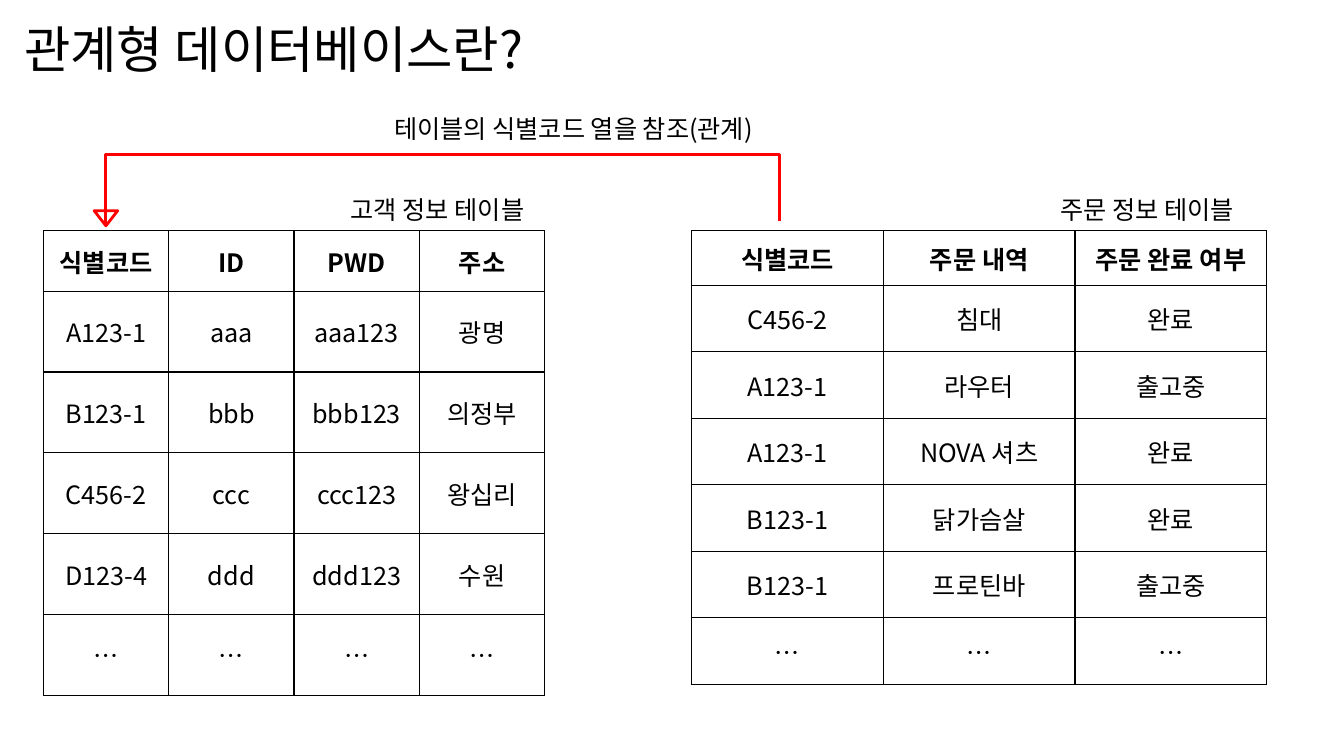
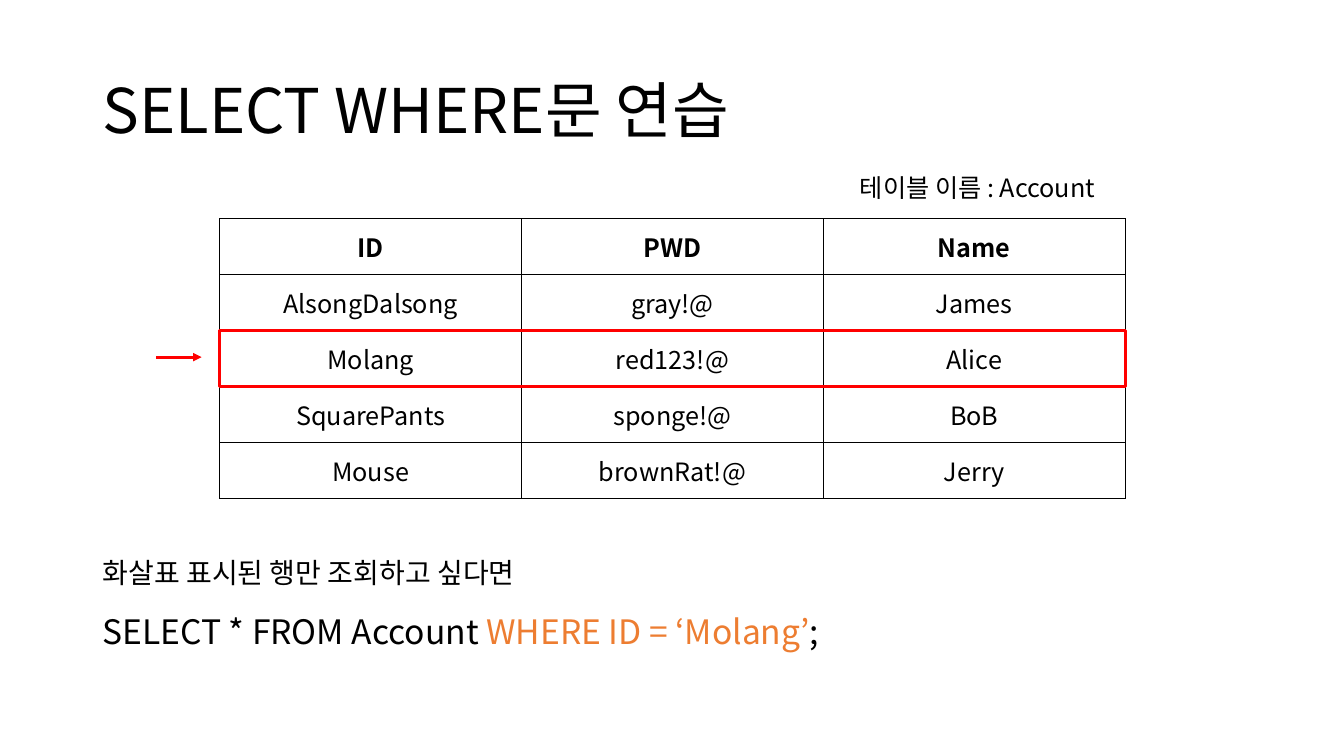
from pptx import Presentation
from pptx.dml.color import RGBColor
from pptx.enum.shapes import MSO_CONNECTOR, MSO_SHAPE
from pptx.enum.text import MSO_ANCHOR, MSO_AUTO_SIZE, PP_ALIGN
from pptx.oxml import parse_xml
from pptx.oxml.ns import nsdecls, qn
from pptx.util import Inches, Pt
from lxml import etree

BLACK = RGBColor(0x00, 0x00, 0x00)
WHITE = RGBColor(0xFF, 0xFF, 0xFF)
RED = RGBColor(0xFF, 0x00, 0x00)
ORANGE = RGBColor(0xED, 0x7D, 0x31)
FONT = "Noto Sans CJK KR"
W, H = Inches(13.33), Inches(7.5)
LINE = Pt(2)
TITLE_ONLY = 5
LEFT, CENTER = PP_ALIGN.LEFT, PP_ALIGN.CENTER
MIDDLE = MSO_ANCHOR.MIDDLE
RECT, MERGE = MSO_SHAPE.RECTANGLE, MSO_SHAPE.FLOWCHART_MERGE
STRAIGHT = MSO_CONNECTOR.STRAIGHT
FIXED = MSO_AUTO_SIZE.NONE

CUSTOMERS = [
    ["식별코드", "ID", "PWD", "주소"],
    ["A123-1", "aaa", "aaa123", "광명"],
    ["B123-1", "bbb", "bbb123", "의정부"],
    ["C456-2", "ccc", "ccc123", "왕십리"],
    ["D123-4", "ddd", "ddd123", "수원"],
    ["…"] * 4,
]
ORDERS = [
    ["식별코드", "주문 내역", "주문 완료 여부"],
    ["C456-2", "침대", "완료"],
    ["A123-1", "라우터", "출고중"],
    ["A123-1", "NOVA 셔츠", "완료"],
    ["B123-1", "닭가슴살", "완료"],
    ["B123-1", "프로틴바", "출고중"],
    ["…"] * 3,
]
ACCOUNTS = [
    ["ID", "PWD", "Name"],
    ["AlsongDalsong", "gray!@", "James"],
    ["Molang", "red123!@", "Alice"],
    ["SquarePants", "sponge!@", "BoB"],
    ["Mouse", "brownRat!@", "Jerry"],
]


def box(left, top, width, height):
    """Turn percentages of the slide's size into lengths."""
    return (int(W * left / 100), int(H * top / 100),
            int(W * width / 100), int(H * height / 100))


def style_run(r, size, color=BLACK, bold=False):
    f = r.font
    f.size, f.bold, f.name = Pt(size), bold, FONT
    f.color.rgb = color
    # East Asian letters take their own typeface
    etree.SubElement(r._r.get_or_add_rPr(), qn("a:ea")).set("typeface", FONT)


def add_title(s, text, area, size):
    sp = s.shapes.title
    sp.left, sp.top, sp.width, sp.height = area
    tf = sp.text_frame
    tf.text = text
    tf.auto_size, tf.vertical_anchor = FIXED, MIDDLE
    p = tf.paragraphs[0]
    p.alignment, p.line_spacing = LEFT, 0.9
    style_run(p.runs[0], size)


def add_label(s, area, parts, size=18):
    """Place one line of text made of (text, colour) parts."""
    tf = s.shapes.add_textbox(*area).text_frame
    tf.word_wrap = False
    for text, color in parts:
        r = tf.paragraphs[0].add_run()
        r.text = text
        style_run(r, size, color)


def add_borders(cell):
    tcPr = cell._tc.get_or_add_tcPr()
    for i, side in enumerate(("lnL", "lnR", "lnT", "lnB")):
        tcPr.insert(i, parse_xml(
            f'<a:{side} {nsdecls("a")} w="{Pt(1)}"><a:solidFill>'
            f'<a:srgbClr val="{BLACK}"/></a:solidFill></a:{side}>'))


def add_grid(s, area, rows, head):
    """Place a table whose header takes the share head of its height."""
    left, top, width, height = area
    table = s.shapes.add_table(len(rows), len(rows[0]), *area).table
    table.horz_banding = False
    for col in table.columns:
        col.width = width // len(rows[0])
    for i, row in enumerate(rows):
        share = (1 - head) / (len(rows) - 1) if i else head
        table.rows[i].height = int(height * share)
        for j, text in enumerate(row):
            cell = table.cell(i, j)
            cell.text = text
            cell.vertical_anchor = MIDDLE
            cell.fill.solid()
            cell.fill.fore_color.rgb = WHITE
            add_borders(cell)
            p = cell.text_frame.paragraphs[0]
            p.alignment = CENTER
            style_run(p.runs[0], 18, bold=i == 0)


def outline_red(sp):
    sp.shadow.inherit = False
    sp.fill.background()
    sp.line.color.rgb = RED
    sp.line.width = LINE


def add_reference_arrow(s, area):
    """Draw a bent line with an open triangle at its lower left end."""
    left, top, width, height = area
    right, bottom = left + width, top + height
    path = s.shapes.build_freeform(right, top + int(height * 0.94))
    path.add_line_segments([(right, top), (left, top), (left, bottom)], close=False)
    outline_red(path.convert_to_shape())
    head_w, head_h = int(W * 0.0175), int(H * 0.02)
    outline_red(s.shapes.add_shape(
        MERGE, left - head_w // 2, bottom - head_h, head_w, head_h))


def add_row_marker(s, area, index, count):
    """Frame one table row and point at it from the left."""
    left, top, width, height = area
    row_h = height // count
    row_top = top + index * row_h
    y = row_top + int(row_h * 0.47)
    arrow = s.shapes.add_connector(
        STRAIGHT, left - int(width * 0.07), y, left - int(width * 0.02), y)
    arrow.line.color.rgb = RED
    arrow.line.width = LINE
    etree.SubElement(arrow.line._get_or_add_ln(), qn("a:tailEnd")).set("type", "triangle")
    etree.SubElement(arrow._element.spPr, qn("a:effectLst"))
    outline_red(s.shapes.add_shape(RECT, left, row_top, width, row_h))


def add_relation_slide(prs):
    s = prs.slides.add_slide(prs.slide_layouts[TITLE_ONLY])
    add_title(s, "관계형 데이터베이스란?", box(1.05, 1.47, 86.25, 10.8), 36)
    # Tables and their names
    add_grid(s, box(3.23, 30.53, 37.3, 61.47), CUSTOMERS, 0.13)
    add_grid(s, box(51.46, 30.53, 42.8, 60), ORDERS, 0.12)
    for left, name in ((25.36, "고객 정보 테이블"), (78.17, "주문 정보 테이블")):
        add_label(s, box(left, 25.07, 16.13, 5.33), [(name, BLACK)])
    # Link between the tables
    add_reference_arrow(s, box(7.88, 20.4, 50.11, 9.47))
    add_label(s, box(28.58, 14.27, 31.21, 5.33),
              [("테이블의 식별코드 열을 참조(관계)", BLACK)])


def add_query_slide(prs):
    s = prs.slides.add_slide(prs.slide_layouts[TITLE_ONLY])
    add_title(s, "SELECT WHERE문 연습", box(6.9, 5.33, 86.25, 19.33), 44)
    # Table with one marked row
    area = box(16.35, 28.93, 67.37, 37.07)
    add_grid(s, area, ACCOUNTS, 1 / len(ACCOUNTS))
    add_label(s, box(63.24, 22.13, 20.41, 5.33), [("테이블 이름 : Account", BLACK)])
    add_row_marker(s, area, 2, len(ACCOUNTS))
    # Question and query
    add_label(s, box(6.9, 72.8, 36.01, 5.87),
              [("화살표 표시된 행만 조회하고 싶다면", BLACK)], 20)
    add_label(s, box(6.9, 80.13, 56.49, 6.67),
              [("SELECT * FROM Account ", BLACK),
               ("WHERE ID = ‘Molang’", ORANGE), (";", BLACK)], 24)


def main():
    prs = Presentation()
    prs.slide_width, prs.slide_height = W, H
    add_relation_slide(prs)
    add_query_slide(prs)
    prs.save("out.pptx")


if __name__ == "__main__":
    main()
